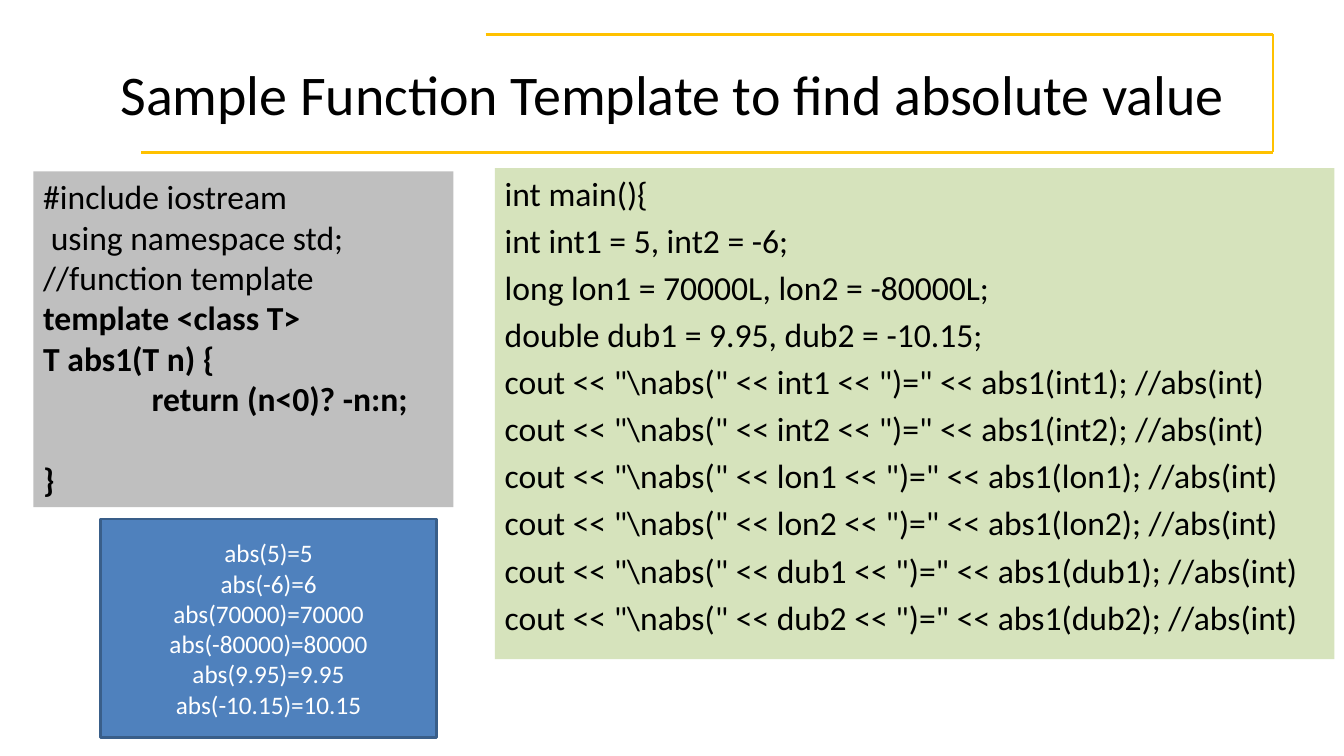
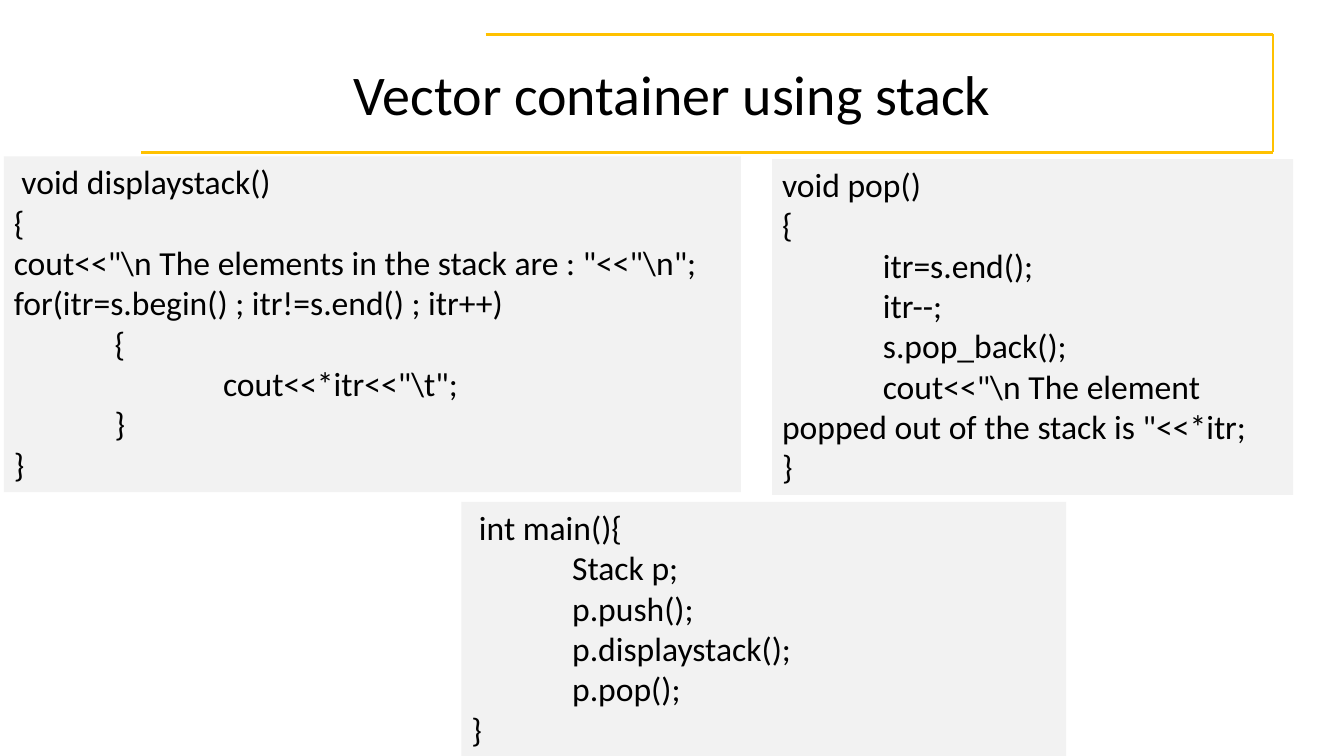
from lxml import etree
from pptx import Presentation
from pptx.dml.color import RGBColor
from pptx.enum.shapes import MSO_CONNECTOR, MSO_SHAPE
from pptx.enum.text import MSO_ANCHOR, PP_ALIGN
from pptx.oxml.ns import qn
from pptx.util import Cm, Pt

LEFT, CENTER = PP_ALIGN.LEFT, PP_ALIGN.CENTER
TOP, MIDDLE = MSO_ANCHOR.TOP, MSO_ANCHOR.MIDDLE
STRAIGHT, RECT = MSO_CONNECTOR.STRAIGHT, MSO_SHAPE.RECTANGLE
TITLE_ONLY = 5

COLORS = {
    "text": "000000",
    "white": "FFFFFF",
    "frame": "FFC100",
    "grey": "BFBFBF",
    "pale": "F2F2F2",
    "green": "D6E3BC",
    "blue": "4F81BD",
    "blue_edge": "395E89",
}
FRAME = [(12.24, 0.86), (32.08, 0.86), (32.08, 3.84), (3.56, 3.84)]


def color(name):
    return RGBColor.from_string(COLORS[name])


class Deck:
    font = "Calibri"
    title_size = 40
    code_size = 24
    tab = 2.54

    def __init__(self):
        self.prs = Presentation()
        self.prs.slide_width, self.prs.slide_height = Cm(33.87), Cm(19.05)
        self.s = None

    def new_slide(self, title):
        self.s = self.prs.slides.add_slide(self.prs.slide_layouts[TITLE_ONLY])
        self.frame()
        self.title(title)

    def frame(self):
        for start, end in zip(FRAME, FRAME[1:]):
            line = self.s.shapes.add_connector(
                STRAIGHT, *(Cm(v) for v in start + end))
            line.line.color.rgb = color("frame")
            line.line.width = Pt(2)
            etree.SubElement(line._element.spPr, qn("a:effectLst"))

    def title(self, text):
        sp = self.s.shapes.title
        sp.left, sp.top, sp.width, sp.height = Cm(1.7), Cm(0.76), Cm(30.48), Cm(3.18)
        tf = sp.text_frame
        tf.text = text
        tf.vertical_anchor = MIDDLE
        tf.paragraphs[0].alignment = CENTER
        self.style(tf.paragraphs[0], self.title_size, "text")

    def style(self, p, size, font_color, bold=False):
        for r in p.runs:
            r.font.name, r.font.size, r.font.bold = self.font, Pt(size), bold
            r.font.color.rgb = color(font_color)

    def panel(self, place, lines, fill, edge=None, font_color="text",
              size=code_size, align=LEFT, anchor=TOP):
        sp = self.s.shapes.add_shape(RECT, *(Cm(v) for v in place))
        sp.shadow.inherit = False
        sp.fill.solid()
        sp.fill.fore_color.rgb = color(fill)
        if edge:
            sp.line.color.rgb = color(edge)
            sp.line.width = Pt(2)
        else:
            sp.line.fill.background()
        tf = sp.text_frame
        tf.word_wrap = True
        tf.vertical_anchor = anchor
        tf.text = "\n".join(lines)
        for p in tf.paragraphs:
            p.alignment = align
            self.style(p, size, font_color)
        return tf.paragraphs

    def code(self, place, lines, fill="pale", bold_from=None, gap=0):
        """Code panel: bold from one line on, gap in points between lines."""
        paragraphs = self.panel(place, lines, fill)
        for i, p in enumerate(paragraphs):
            if i and gap:
                p.space_before = Pt(gap)
            self.tab_stops(p)
            bold = bold_from is not None and i >= bold_from
            self.style(p, self.code_size, "text", bold)
        return paragraphs

    def tab_stops(self, p):
        tabs = etree.SubElement(p._p.get_or_add_pPr(), qn("a:tabLst"))
        for n in (1, 2):
            etree.SubElement(tabs, qn("a:tab"), pos=str(Cm(n * self.tab)), algn="l")


def absolute_value(deck):
    deck.new_slide("Sample Function Template to find absolute value")

    # Function template, with a gap before its closing brace
    template = deck.code((0.84, 4.32, 10.59, 8.46), [
        "#include iostream",
        " using namespace std;",
        "//function template",
        "template <class T>",
        "T abs1(T n) {",
        "\t return (n<0)? -n:n;",
        "}",
    ], fill="grey", bold_from=3)
    template[-1].space_before = Pt(29)

    # Main program
    calls = [rf'cout << "\nabs(" << {v} << ")=" << abs1({v}); //abs(int)'
             for v in ("int1", "int2", "lon1", "lon2", "dub1", "dub2")]
    deck.code((12.47, 4.24, 21.16, 12.37), [
        "int main(){",
        "int int1 = 5, int2 = -6;",
        "long lon1 = 70000L, lon2 = -80000L;",
        "double dub1 = 9.95, dub2 = -10.15;",
    ] + calls, fill="green", gap=4.8)

    # Program output
    deck.panel((2.54, 13.08, 8.46, 5.51), [
        "abs(5)=5",
        "abs(-6)=6",
        "abs(70000)=70000",
        "abs(-80000)=80000",
        "abs(9.95)=9.95",
        "abs(-10.15)=10.15",
    ], "blue", edge="blue_edge", font_color="white", size=18,
        align=CENTER, anchor=MIDDLE)


def vector_stack(deck):
    deck.new_slide("Vector container using stack")

    # Pop function
    deck.code((19.46, 4.01, 13.13, 8.46), [
        "void pop()",
        "{",
        "\titr=s.end();",
        "\titr--;",
        "\ts.pop_back();",
        "\t" + r'cout<<"\n The element popped out of the stack is "<<*itr;',
        "}",
    ])

    # Main program
    deck.code((11.63, 12.65, 15.24, 6.4), [
        " int main(){",
        "\tStack p;",
        "\tp.push();",
        "\tp.displaystack();",
        "\tp.pop();",
        "}",
    ])

    # Display function
    deck.code((0.1, 3.94, 18.57, 8.46), [
        " void displaystack()",
        "{",
        r'cout<<"\n The elements in the stack are : "<<"\n";',
        "for(itr=s.begin() ; itr!=s.end() ; itr++)",
        "\t{",
        "\t\t " + r'cout<<*itr<<"\t";',
        "\t}",
        "}",
    ])


def main():
    deck = Deck()
    absolute_value(deck)
    vector_stack(deck)
    deck.prs.save("out.pptx")


if __name__ == "__main__":
    main()
